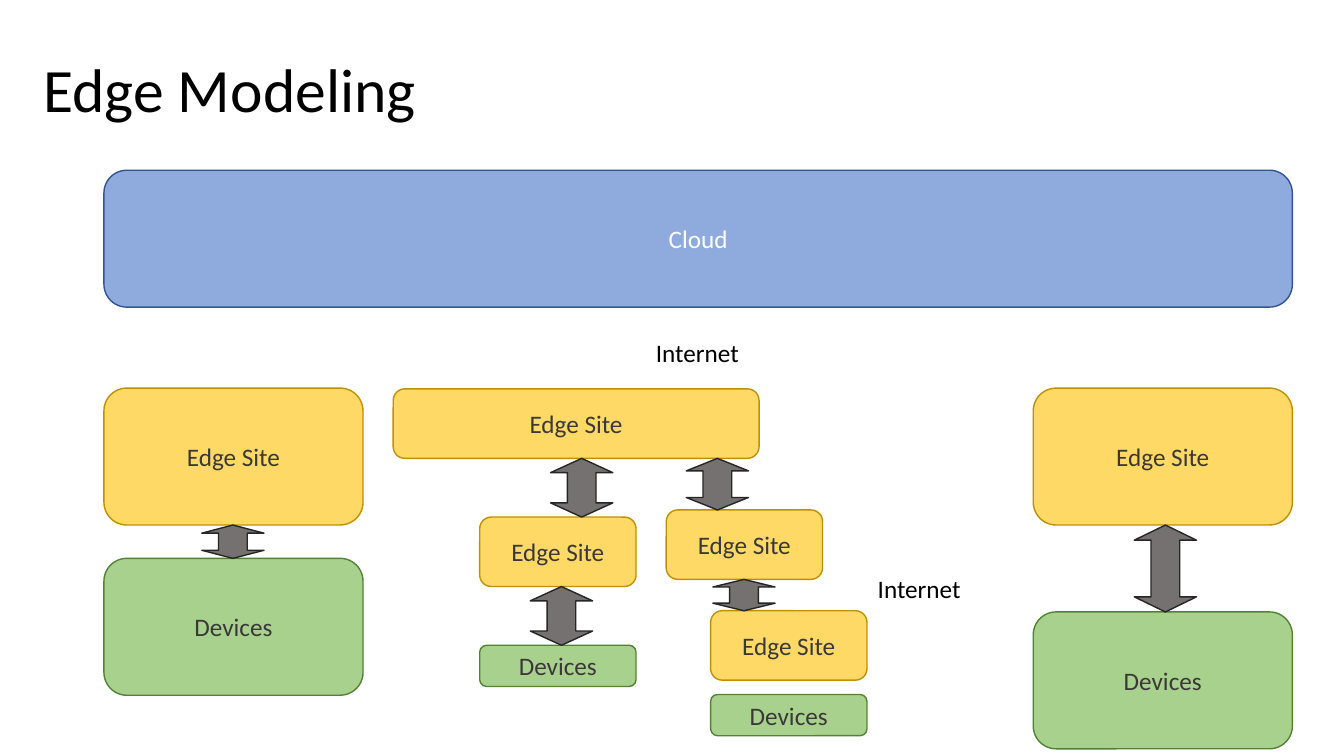
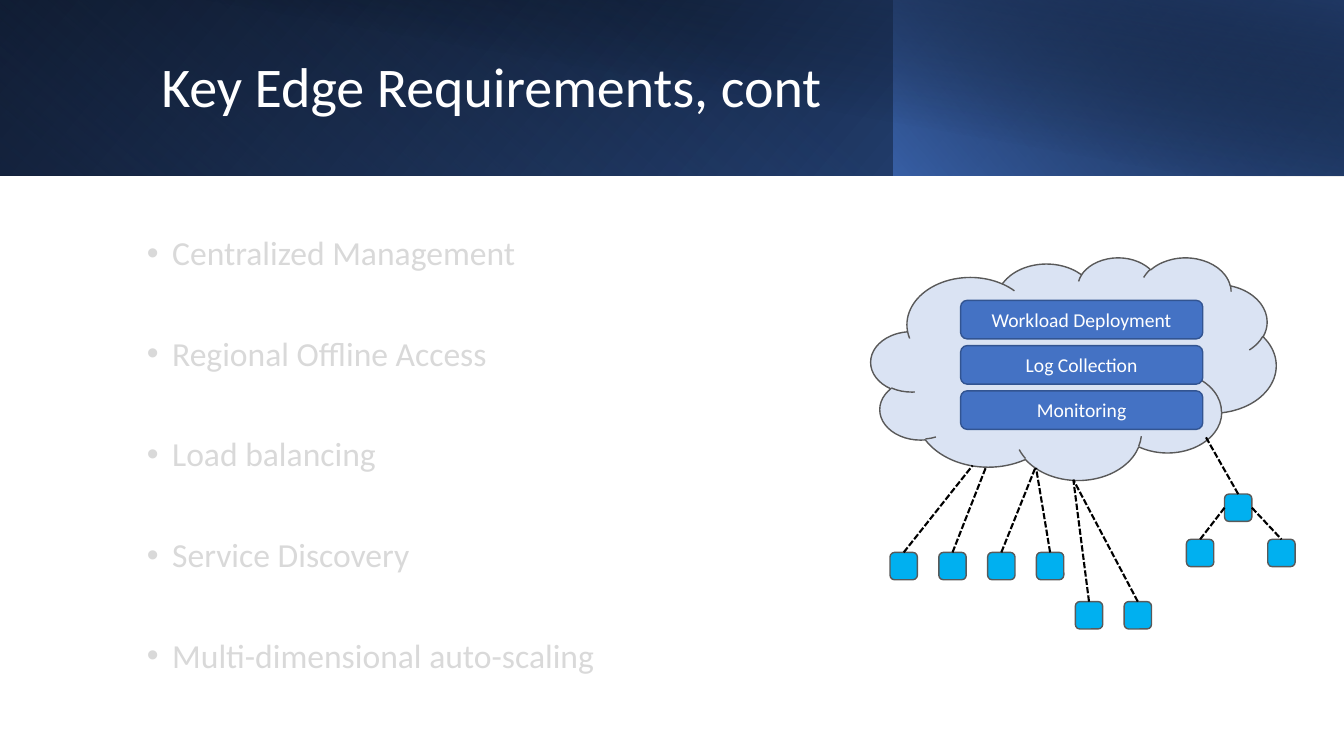
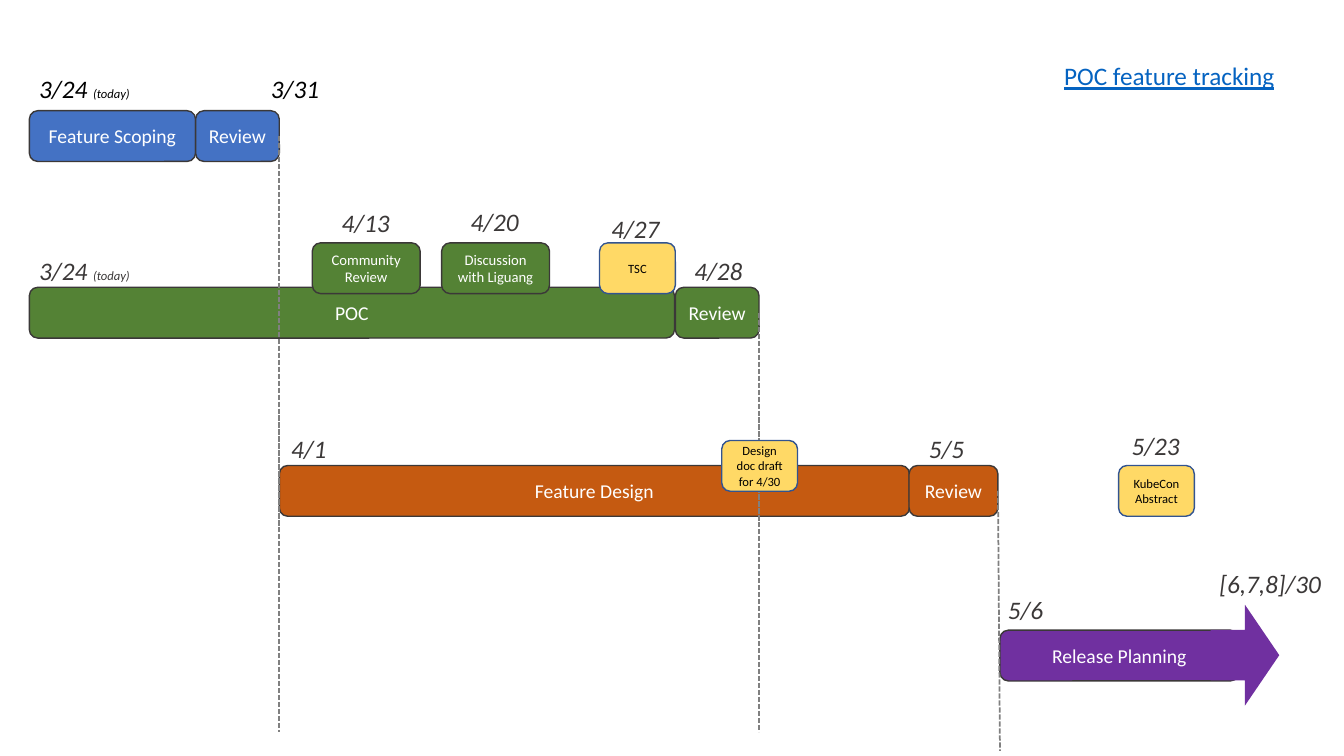
from lxml.etree import SubElement
from pptx import Presentation
from pptx.dml.color import RGBColor
from pptx.enum.dml import MSO_LINE
from pptx.enum.shapes import MSO_CONNECTOR, MSO_SHAPE
from pptx.enum.text import MSO_ANCHOR, MSO_AUTO_SIZE, PP_ALIGN
from pptx.oxml.ns import qn
from pptx.util import Cm, Pt

FONT = "Calibri"
BLACK = RGBColor(0x00, 0x00, 0x00)
WHITE = RGBColor(0xFF, 0xFF, 0xFF)
CHARCOAL = RGBColor(0x3B, 0x38, 0x38)
OUTLINE_GRAY = RGBColor(0x59, 0x59, 0x59)
GUIDE_GRAY = RGBColor(0x80, 0x80, 0x80)
LIGHT_GRAY = RGBColor(0xD9, 0xD9, 0xD9)
ARROW_GRAY = RGBColor(0x76, 0x71, 0x71)
ARROW_OUTLINE = RGBColor(0x26, 0x26, 0x26)
BLUE = RGBColor(0x44, 0x72, 0xC4)
BLUE_OUTLINE = RGBColor(0x32, 0x54, 0x91)
DEEP_BLUE = RGBColor(0x2F, 0x55, 0x97)
NAVY = RGBColor(0x20, 0x38, 0x64)
SOFT_BLUE = RGBColor(0x8F, 0xAA, 0xDC)
PALE_BLUE = RGBColor(0xDA, 0xE3, 0xF3)
SKY = RGBColor(0x00, 0xB0, 0xF0)
LINK_BLUE = RGBColor(0x05, 0x63, 0xC1)
YELLOW = RGBColor(0xFF, 0xD9, 0x66)
GOLD = RGBColor(0xBF, 0x90, 0x00)
LIGHT_GREEN = RGBColor(0xA9, 0xD1, 0x8E)
GREEN = RGBColor(0x54, 0x82, 0x35)
ORANGE = RGBColor(0xC5, 0x5A, 0x11)
PURPLE = RGBColor(0x70, 0x30, 0xA0)

TITLE_ONLY, BLANK = 5, 6
BAR_HEIGHT = 1.28
NODE_SIZE = 0.69
TOP, LEFT, RIGHT = 0, 1, 3


def format_run(run, size, color, italic=False, underline=False):
    run.font.name = FONT
    run.font.size = Pt(size)
    run.font.color.rgb = color
    run.font.italic = italic
    run.font.underline = underline


def write(text_frame, text, size, color, alignment, **style):
    text_frame.text = text
    for paragraph in text_frame.paragraphs:
        paragraph.alignment = alignment
        for run in paragraph.runs:
            format_run(run, size, color, **style)


def add_title(slide, text, box, size, color):
    title = slide.shapes.title
    title.left, title.top, title.width, title.height = map(Cm, box)
    text_frame = title.text_frame
    text_frame.auto_size = MSO_AUTO_SIZE.NONE
    text_frame.vertical_anchor = MSO_ANCHOR.MIDDLE
    write(text_frame, text, size, color, PP_ALIGN.LEFT)
    text_frame.paragraphs[0].line_spacing = 0.9


def add_label(slide, text, left, top, width, color, **style):
    box = slide.shapes.add_textbox(Cm(left), Cm(top), Cm(width), Cm(1.02))
    write(box.text_frame, text, 18, color, PP_ALIGN.LEFT, **style)
    return box


def add_date(slide, text, left, top, width=1.73, color=CHARCOAL, note=None):
    box = add_label(slide, text, left, top, width, color, italic=True)
    if note:
        run = box.text_frame.paragraphs[0].add_run()
        run.text = note
        format_run(run, 9, color, italic=True)


def add_figure(slide, preset, left, top, width, height, fill, outline=None):
    shape = slide.shapes.add_shape(preset, Cm(left), Cm(top), Cm(width), Cm(height))
    shape.shadow.inherit = False
    shape.fill.solid()
    shape.fill.fore_color.rgb = fill
    if outline is None:
        shape.line.fill.background()
    else:
        shape.line.color.rgb = outline
        shape.line.width = Pt(1)
    return shape


def add_box(slide, text, box, fill, outline, size=18, color=CHARCOAL):
    shape = add_figure(slide, MSO_SHAPE.ROUNDED_RECTANGLE, *box, fill, outline)
    shape.text_frame.word_wrap = True
    shape.text_frame.vertical_anchor = MSO_ANCHOR.MIDDLE
    write(shape.text_frame, text, size, color, PP_ALIGN.CENTER)
    return shape


def add_edge_site(slide, *box):
    return add_box(slide, "Edge Site", box, YELLOW, GOLD)


def add_devices(slide, *box):
    return add_box(slide, "Devices", box, LIGHT_GREEN, GREEN)


def add_arrow_between(slide, upper, lower, center):
    thickness = 1.57
    top = (upper.top + upper.height) / Cm(1)
    bottom = lower.top / Cm(1)
    length = bottom - top
    arrow = add_figure(slide, MSO_SHAPE.LEFT_RIGHT_ARROW, center - length / 2,
                       (top + bottom - thickness) / 2, length, thickness,
                       ARROW_GRAY, ARROW_OUTLINE)
    arrow.rotation = 270
    arrow.adjustments[0] = 0.46
    arrow.adjustments[1] = 0.243


def add_dashed_line(slide, color, width, begin, end):
    points = [(Cm(0), Cm(0)) if hasattr(point[0], "shape_id")
              else (Cm(point[0]), Cm(point[1])) for point in (begin, end)]
    line = slide.shapes.add_connector(MSO_CONNECTOR.STRAIGHT, *points[0], *points[1])
    for point, connect in ((begin, line.begin_connect), (end, line.end_connect)):
        if hasattr(point[0], "shape_id"):
            connect(*point)
    line.line.color.rgb = color
    line.line.width = Pt(width)
    line.line.dash_style = MSO_LINE.SQUARE_DOT
    SubElement(line.element.spPr, qn("a:effectLst"))


def add_gradient_band(slide, left, width, height, stops, angle, flip=True, rotation=0):
    band = add_figure(slide, MSO_SHAPE.RECTANGLE, left, 0, width, height, BLACK)
    band.rotation = rotation
    if flip:
        band.element.spPr.xfrm.set("flipH", "1")
    band.fill.gradient()
    band.fill.gradient_angle = 360 - angle
    for gradient_stop, (position, color, opacity) in zip(band.fill.gradient_stops, stops):
        gradient_stop.position = position
        gradient_stop.color.rgb = color
    colors = band.element.spPr.iter(qn("a:srgbClr"))
    for color_element, (position, color, opacity) in zip(list(colors), stops):
        SubElement(color_element, qn("a:alpha"), val=str(opacity * 1000))


def add_bullets(slide, items, box):
    text_frame = slide.shapes.add_textbox(*map(Cm, box)).text_frame
    text_frame.word_wrap = True
    text_frame.vertical_anchor = MSO_ANCHOR.MIDDLE
    write(text_frame, "\n".join(items), 24, LIGHT_GRAY, PP_ALIGN.LEFT)
    for index, paragraph in enumerate(text_frame.paragraphs):
        properties = paragraph._p.get_or_add_pPr()
        properties.set("marL", str(Cm(0.64)))
        properties.set("indent", str(-Cm(0.64)))
        SubElement(properties, qn("a:buFont"), typeface="Arial")
        SubElement(properties, qn("a:buChar"), char="•")
        paragraph.line_spacing = 0.9
        paragraph.space_before = Pt(46 if index else 0)


def add_node(slide, left, top):
    return add_figure(slide, MSO_SHAPE.ROUNDED_RECTANGLE, left, top,
                      NODE_SIZE, NODE_SIZE, SKY, OUTLINE_GRAY)


def build_edge_modeling(presentation):
    slide = presentation.slides.add_slide(presentation.slide_layouts[TITLE_ONLY])
    add_title(slide, "Edge Modeling", (0.84, 0.48, 29.21, 3.68), 44, BLACK)
    add_box(slide, "Cloud", (2.62, 4.29, 29.95, 3.45), SOFT_BLUE, BLUE_OUTLINE, color=WHITE)
    add_label(slide, "Internet", 16.28, 8.38, 2.84, BLACK)
    add_label(slide, "Internet", 21.87, 14.33, 2.84, BLACK)

    large, small, flat = (6.53, 3.45), (3.94, 1.75), (3.94, 1.04)
    left_site = add_edge_site(slide, 2.62, 9.78, *large)
    left_devices = add_devices(slide, 2.62, 14.07, *large)
    right_site = add_edge_site(slide, 26.04, 9.78, *large)
    right_devices = add_devices(slide, 26.04, 15.42, *large)
    parent_site = add_edge_site(slide, 9.91, 9.8, 9.22, 1.75)
    first_child = add_edge_site(slide, 12.09, 13.03, *small)
    first_devices = add_devices(slide, 12.09, 16.26, *flat)
    second_child = add_edge_site(slide, 16.79, 12.85, *small)
    grandchild = add_edge_site(slide, 17.91, 15.39, *small)
    add_devices(slide, 17.91, 17.5, *flat)

    for upper, lower, center in (
        (left_site, left_devices, 5.87),
        (right_site, right_devices, 29.37),
        (parent_site, first_child, 14.66),
        (parent_site, second_child, 18.08),
        (first_child, first_devices, 14.15),
        (second_child, grandchild, 18.75),
    ):
        add_arrow_between(slide, upper, lower, center)


def build_requirements(presentation):
    slide = presentation.slides.add_slide(presentation.slide_layouts[TITLE_ONLY])
    add_gradient_band(slide, 0, 33.87, 4.42, ((0, BLACK, 100), (1, DEEP_BLUE, 100)), 140)
    add_gradient_band(slide, 0, 22.56, 4.42, ((0.2, BLUE, 0), (1, NAVY, 55)), 230, rotation=180)
    add_gradient_band(slide, 22.53, 11.33, 4.42, ((0, BLUE, 66), (1, BLACK, 30)), 220)
    add_gradient_band(slide, 1.27, 32.6, 4.45, ((0.5, BLACK, 0), (0.99, NAVY, 52)), 280, flip=False)
    title = slide.shapes.title
    slide.shapes.element.append(title.element)
    add_title(slide, "Key Edge Requirements, cont", (3.81, 0.81, 27.48, 2.87), 40, WHITE)
    add_bullets(slide, ("Centralized Management", "Regional Offline Access", "Load balancing",
                        "Service Discovery", "Multi-dimensional auto-scaling"),
                (3.45, 4.8, 15.44, 13.38))

    add_figure(slide, MSO_SHAPE.CLOUD, 21.95, 6.48, 10.21, 5.61, PALE_BLUE, OUTLINE_GRAY)
    for index, service in enumerate(("Workload Deployment", "Log Collection", "Monitoring")):
        add_box(slide, service, (24.21, 7.57 + 1.14 * index, 6.1, 0.97),
                BLUE, BLUE_OUTLINE, 14, WHITE)

    nodes = [add_node(slide, 22.43 + 1.23 * index, 13.92) for index in range(4)]
    nodes += [add_node(slide, 27.1 + 1.23 * index, 15.16) for index in range(2)]
    hub = add_node(slide, 30.86, 12.45)
    cloud_points = ((24.51, 11.73), (24.84, 11.79), (26.09, 11.79), (26.11, 11.79),
                    (27.05, 12.09), (27.05, 12.09), (30.38, 11))
    for node, point in zip(nodes + [hub], cloud_points):
        add_dashed_line(slide, BLACK, 1.5, (node, TOP), point)
    for left, side in ((29.9, LEFT), (31.95, RIGHT)):
        leaf = add_node(slide, left, 13.59)
        add_dashed_line(slide, BLACK, 1.5, (hub, side), (leaf, TOP))


def build_timeline(presentation):
    slide = presentation.slides.add_slide(presentation.slide_layouts[BLANK])
    add_label(slide, "POC feature tracking", 26.57, 1.4, 5.87, LINK_BLUE, underline=True)

    def add_bar(text, left, top, width, fill):
        return add_box(slide, text, (left, top, width, BAR_HEIGHT), fill, CHARCOAL, 14, WHITE)

    add_bar("Feature Scoping", 0.74, 2.79, 4.19, BLUE)
    add_bar("POC", 0.74, 7.24, 16.26, GREEN)
    add_bar("Feature Design", 7.04, 11.73, 15.88, ORANGE)
    add_bar("Release Planning", 25.2, 15.88, 6.02, PURPLE)
    add_figure(slide, MSO_SHAPE.RIGHT_ARROW, 30.51, 15.24, 1.73, 2.54, PURPLE)
    for left, top, width, fill, guide_end in (
        (4.93, 2.79, 2.11, BLUE, (7.04, 18.44)),
        (17.02, 7.24, 2.11, GREEN, (19.13, 18.44)),
        (22.91, 11.73, 2.24, ORANGE, (25.2, 18.92)),
    ):
        review = add_bar("Review", left, top, width, fill)
        add_dashed_line(slide, GUIDE_GRAY, 1.25, (review, RIGHT), guide_end)

    for text, left in (("Community\nReview", 7.87), ("Discussion with Liguang", 11.13)):
        add_box(slide, text, (left, 6.12, 2.72, BAR_HEIGHT), GREEN, CHARCOAL, 10.5, WHITE)
    for text, left, top in (
        ("TSC", 15.11, 6.12),
        ("Design doc draft for 4/30", 18.19, 11.1),
        ("KubeCon Abstract", 28.19, 11.73),
    ):
        add_box(slide, text, (left, top, 1.91, BAR_HEIGHT), YELLOW, BLUE_OUTLINE, 9, BLACK)

    add_date(slide, "3/24 ", 0.74, 1.73, 2.82, BLACK, "(today)")
    add_date(slide, "3/31", 6.58, 1.73, color=BLACK)
    add_date(slide, "3/24 ", 0.74, 6.32, 2.82, note="(today)")
    add_date(slide, "4/13", 8.36, 5.11)
    add_date(slide, "4/20", 11.61, 5.08)
    add_date(slide, "4/27", 15.16, 5.26)
    add_date(slide, "4/28", 17.25, 6.32)
    add_date(slide, "4/1", 7.09, 10.8, 1.42)
    add_date(slide, "5/5", 23.16, 10.8, 1.42)
    add_date(slide, "5/23", 28.27, 10.72)
    add_date(slide, "5/6", 25.15, 14.86, 1.42)
    add_date(slide, "[6,7,8]/30", 30.48, 14.2, 3.1)


def main():
    presentation = Presentation()
    presentation.slide_width = Cm(33.87)
    presentation.slide_height = Cm(19.05)
    build_edge_modeling(presentation)
    build_requirements(presentation)
    build_timeline(presentation)
    presentation.save("out.pptx")


if __name__ == "__main__":
    main()
